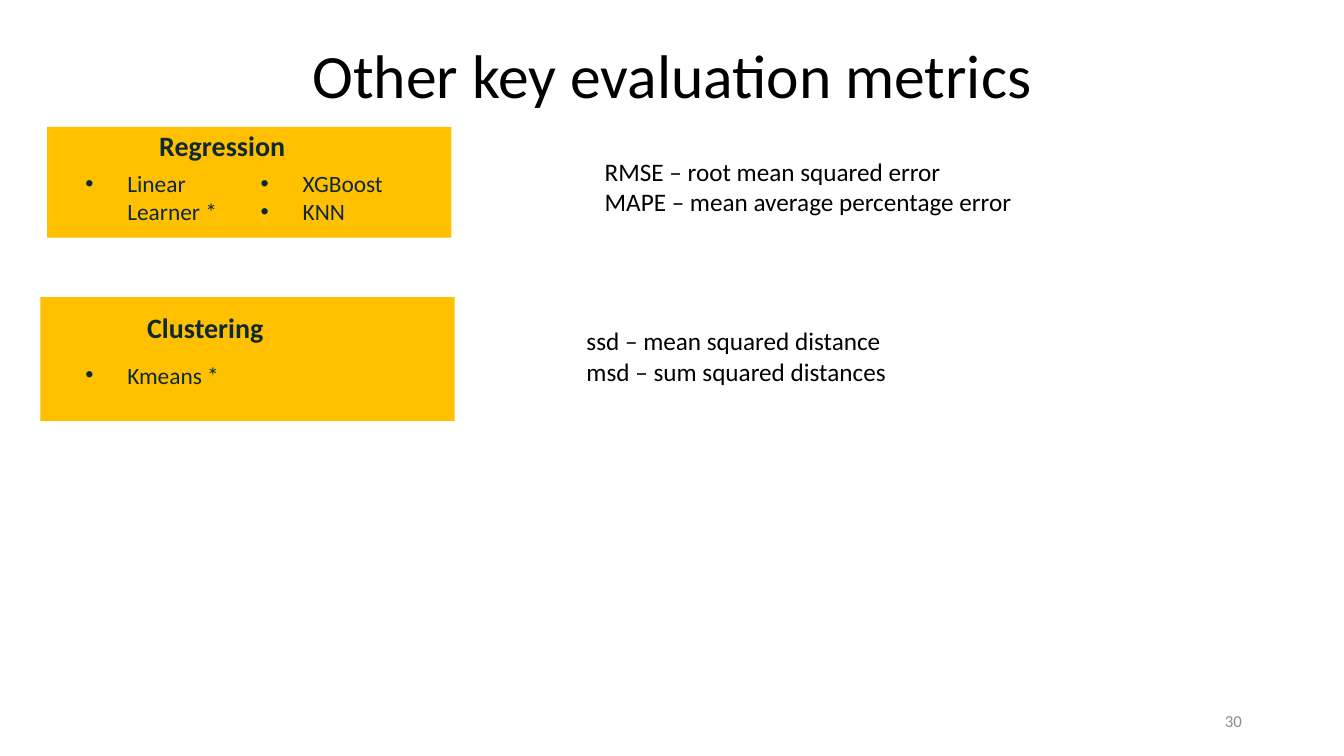
from lxml import etree
from pptx import Presentation
from pptx.dml.color import RGBColor
from pptx.enum.shapes import MSO_SHAPE
from pptx.enum.text import MSO_ANCHOR, PP_ALIGN
from pptx.oxml.ns import qn
from pptx.util import Cm, Pt

LEFT, CENTER, RIGHT = PP_ALIGN.LEFT, PP_ALIGN.CENTER, PP_ALIGN.RIGHT
TOP, MIDDLE = MSO_ANCHOR.TOP, MSO_ANCHOR.MIDDLE
RECTANGLE = MSO_SHAPE.RECTANGLE

BLACK = RGBColor(0x00, 0x00, 0x00)
GREY = RGBColor(0x8C, 0x8C, 0x8C)
NAVY = RGBColor(0x0E, 0x28, 0x36)
AMBER = RGBColor(0xFF, 0xC0, 0x00)
FONT = "Calibri"

# Content; places are left, top, width, height in cm
TITLE = "Other key evaluation metrics"
PAGE_NUMBER = "30"
TASKS = [
    {
        "heading": "Regression",
        "algorithms": [["Linear Learner *"], ["XGBoost", "KNN"]],
        "metrics": ["RMSE – root mean squared error",
                    "MAPE – mean average percentage error"],
        "panel_at": (1.19, 3.2, 10.19, 2.79),
        "heading_at": (1.27, 3.12, 8.66, 1.12),
        "algorithms_top": 4.14,
        "metrics_at": (14.99, 3.81, 12.24, 1.8),
    },
    {
        "heading": "Clustering",
        "algorithms": [["Kmeans *"]],
        "metrics": ["ssd – mean squared distance",
                    "msd – sum squared distances"],
        "panel_at": (1.02, 7.49, 10.44, 3.12),
        "heading_at": (1.9, 7.7, 6.55, 1.12),
        "algorithms_top": 8.97,
        "metrics_at": (14.53, 8.08, 12.24, 1.8),
    },
]
ALGORITHMS_LEFT, COLUMN_STEP = 1.9, 4.42
COLUMN_WIDTH, COLUMN_HEIGHT = 4.92, 1.6
BULLET_INDENT = Cm(1.06)

presentation = Presentation()
presentation.slide_width, presentation.slide_height = Cm(33.87), Cm(19.05)
slide = presentation.slides.add_slide(presentation.slide_layouts[6])


def add_text(lines, at, size=18, color=BLACK, bold=False, align=LEFT,
             anchor=TOP, spacing=1.0, bulleted=False):
    frame = slide.shapes.add_textbox(*map(Cm, at)).text_frame
    frame.word_wrap = True
    frame.vertical_anchor = anchor
    frame.text = "\n".join(lines)
    for paragraph in frame.paragraphs:
        if bulleted:
            properties = paragraph._p.get_or_add_pPr()
            properties.set("marL", str(BULLET_INDENT))
            properties.set("indent", str(-BULLET_INDENT))
            etree.SubElement(properties, qn("a:buFont"), typeface="Arial")
            etree.SubElement(properties, qn("a:buChar"), char="•")
        paragraph.alignment = align
        paragraph.line_spacing = spacing
        for run in paragraph.runs:
            run.font.name, run.font.size = FONT, Pt(size)
            run.font.bold, run.font.color.rgb = bold, color


# Title and page number
add_text([TITLE], (2.34, 1.02, 29.21, 3.68), size=44, align=CENTER, spacing=0.9)
add_text([PAGE_NUMBER], (23.93, 17.65, 7.62, 1.02), size=12, color=GREY,
         align=RIGHT, anchor=MIDDLE)

# One panel with its algorithms and metrics per task
for task in TASKS:
    panel = slide.shapes.add_shape(RECTANGLE, *map(Cm, task["panel_at"]))
    panel.shadow.inherit = False
    panel.fill.solid()
    panel.fill.fore_color.rgb = AMBER
    panel.line.fill.background()

    add_text([task["heading"]], task["heading_at"], size=20, color=NAVY,
             bold=True, align=CENTER)
    for column, algorithms in enumerate(task["algorithms"]):
        column_left = ALGORITHMS_LEFT + column * COLUMN_STEP
        add_text(algorithms,
                 (column_left, task["algorithms_top"], COLUMN_WIDTH, COLUMN_HEIGHT),
                 size=16.7, color=NAVY, bulleted=True)
    add_text(task["metrics"], task["metrics_at"])

presentation.save("out.pptx")
